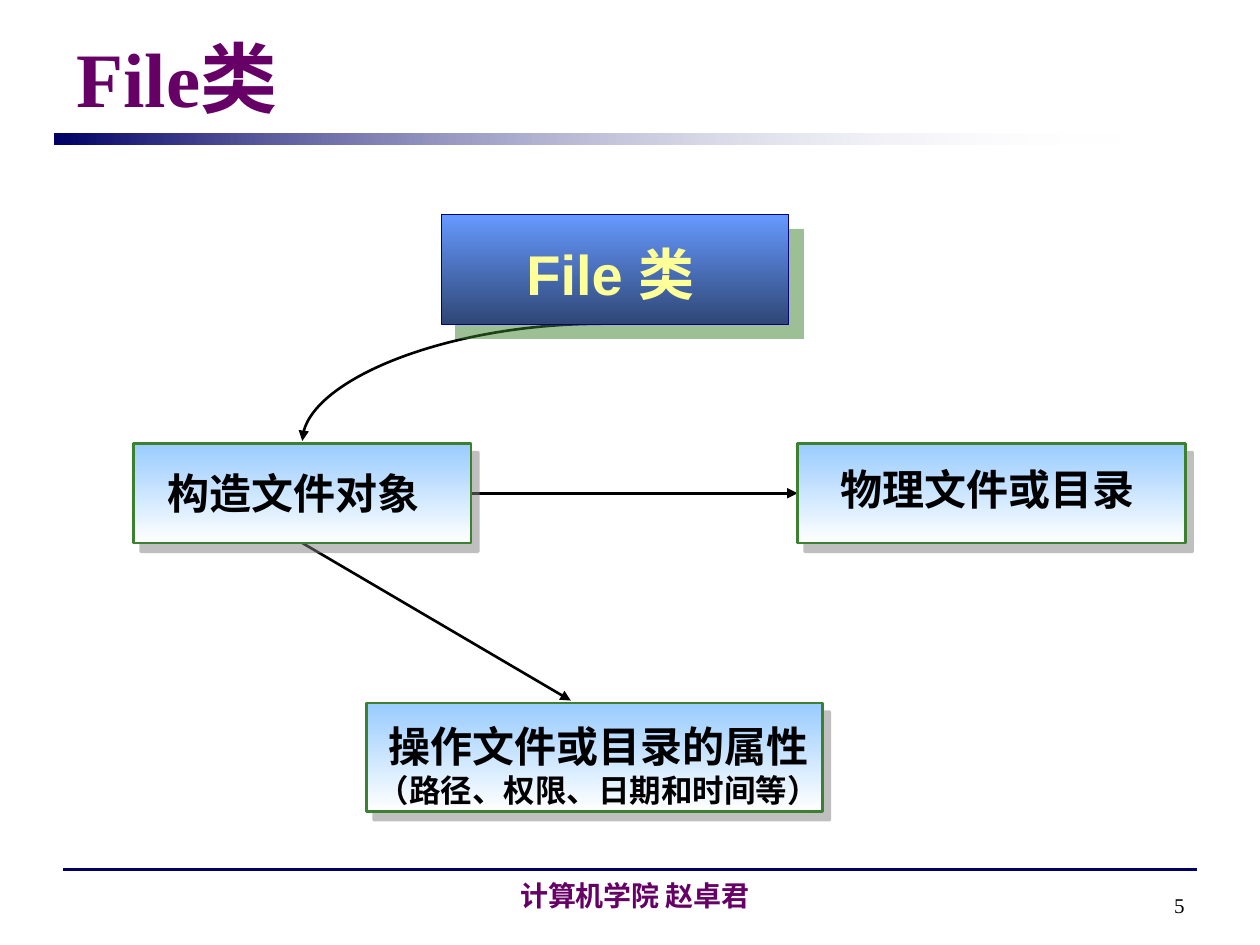
import pptx
import pptx.util
import pptx.dml.color
import pptx.enum.shapes
import pptx.enum.text
import pptx.oxml
import pptx.oxml.ns

Inches = pptx.util.Inches
Pt = pptx.util.Pt
qn = pptx.oxml.ns.qn
Align = pptx.enum.text.PP_ALIGN
Anchor = pptx.enum.text.MSO_ANCHOR
Connector = pptx.enum.shapes.MSO_CONNECTOR

THEME = {
    "navy": "000066", "purple": "660066", "black": "000000", "white": "FFFFFF",
    "yellow": "FFFF99", "serif": "Times New Roman", "sans": "Arial",
    "cjk": "Noto Sans CJK SC",
    "title": 44, "root": 32, "node": 24, "detail": 18, "footer": 16, "number": 12,
}
ROOT_STYLE = dict(top="6699FF", bottom="2F4776", border="000080", weight=0.25,
                  shadow=("3B812F", 12.1, 45))
NODE_STYLE = dict(top="99CCFF", bottom="FFFFFF", border="3B812F", weight=1.5,
                  shadow=("808080", 6.4, 51))

# name: (box, label area, label lines with size, alignment, colour, style)
NODES = {
    "file class": ((3.5, 1.7, 2.76, 0.87), (3.82, 1.85, 2.05, 0.64),
                   [("File 类", "root")], Align.CENTER, "yellow", ROOT_STYLE),
    "physical": ((6.33, 3.52, 3.08, 0.79), (6.26, 3.63, 3.15, 0.5),
                 [("物理文件或目录", "node")], Align.CENTER, "black", NODE_STYLE),
    "object": ((1.06, 3.52, 2.68, 0.79), (1.23, 3.66, 2.34, 0.5),
               [("构造文件对象", "node")], Align.LEFT, "black", NODE_STYLE),
    "attributes": ((2.91, 5.58, 3.62, 0.86), (2.83, 5.67, 3.84, 0.8),
                   [("操作文件或目录的属性", "node"),
                    ("（路径、权限、日期和时间等）", "detail")],
                   Align.CENTER, "black", NODE_STYLE),
}


def rgb(value):
    return pptx.dml.color.RGBColor.from_string(value)


def add_text(shapes, area, lines, color="black", font="sans", bold=True,
             align=Align.LEFT, anchor=Anchor.MIDDLE):
    """Add a text box; each line is a (text, theme size) pair."""
    frame = shapes.add_textbox(*map(Inches, area)).text_frame
    frame.word_wrap = True
    frame.vertical_anchor = anchor
    for index, (text, size) in enumerate(lines):
        para = frame.add_paragraph() if index else frame.paragraphs[0]
        para.alignment = align
        span = para.add_run()
        span.text = text
        span.font.size = Pt(THEME[size])
        span.font.bold = bold
        span.font.name = THEME[font]
        span.font.color.rgb = rgb(THEME[color])
        east_asian = pptx.oxml.parse_xml(
            f'<a:ea {pptx.oxml.ns.nsdecls("a")} typeface="{THEME["cjk"]}"/>')
        span.font._element.find(qn("a:latin")).addnext(east_asian)


def add_gradient_box(shapes, area, first, last, angle):
    box = shapes.add_shape(pptx.enum.shapes.MSO_SHAPE.RECTANGLE, *map(Inches, area))
    box.shadow.inherit = False
    box.fill.gradient()
    box.fill.gradient_angle = angle
    for stop, color in zip(box.fill.gradient_stops, (first, last)):
        stop.color.rgb = rgb(color)
    return box


def add_line(shapes, start, end, color="black", kind=Connector.STRAIGHT, arrow=True):
    line = shapes.add_connector(kind, *map(Inches, start + end))
    line.line.color.rgb = rgb(THEME[color])
    line.line.width = Pt(1.5)
    namespace = pptx.oxml.ns.nsdecls("a")
    if arrow:
        line.line._get_or_add_ln().append(
            pptx.oxml.parse_xml(f'<a:tailEnd {namespace} type="triangle"/>'))
    line._element.spPr.append(pptx.oxml.parse_xml(f"<a:effectLst {namespace}/>"))
    return line


def add_node(page, area, label_area, lines, align, color, style):
    group = page.shapes.add_group_shape()
    box = add_gradient_box(group.shapes, area, style["top"], style["bottom"], 270)
    box.line.color.rgb = rgb(style["border"])
    box.line.width = Pt(style["weight"])
    shade, distance, angle = style["shadow"]
    box._element.spPr.find(qn("a:effectLst")).append(pptx.oxml.parse_xml(
        f'<a:outerShdw {pptx.oxml.ns.nsdecls("a")} blurRad="0" dist="{Pt(distance)}" '
        f'dir="{angle * 60000}" algn="ctr" rotWithShape="0">'
        f'<a:srgbClr val="{shade}"><a:alpha val="50000"/></a:srgbClr></a:outerShdw>'))
    add_text(group.shapes, label_area, lines, color=color, align=align)
    return box


def main():
    deck = pptx.Presentation()
    deck.slide_width, deck.slide_height = Inches(10), Inches(7.5)
    page = deck.slides.add_slide(deck.slide_layouts[6])
    shapes = page.shapes

    add_line(shapes, (0.5, 6.9), (9.5, 6.9), color="navy", arrow=False)
    band = add_gradient_box(shapes, (0.43, 1.06, 8.51, 0.09),
                            THEME["navy"], THEME["white"], 0)
    band.line.fill.background()
    clear_stop = band._element.spPr.findall(".//" + qn("a:srgbClr"))[-1]
    clear_stop.append(pptx.oxml.parse_xml(
        f'<a:alpha {pptx.oxml.ns.nsdecls("a")} val="0"/>'))

    add_text(shapes, (2.64, 6.79, 4.8, 0.5), [("计算机学院 赵卓君", "footer")],
             color="purple", font="cjk", align=Align.CENTER, anchor=Anchor.BOTTOM)
    add_text(shapes, (7.17, 6.83, 2.33, 0.5), [("5", "number")], font="serif",
             bold=False, align=Align.RIGHT, anchor=Anchor.BOTTOM)
    add_text(shapes, (0.51, 0.25, 9.14, 0.71), [("File类", "title")],
             color="purple", font="serif")

    # Lines come first so that the boxes and their shadows lie over them.
    curve = add_line(shapes, (4.77, 2.57), (2.4, 3.5), kind=Connector.CURVE)
    curve._element.spPr.find(qn("a:prstGeom")).set("prst", "curvedConnector2")
    to_attributes = add_line(shapes, (2.4, 4.31), (4.53, 5.56))
    to_physical = add_line(shapes, (3.74, 3.92), (6.33, 3.92))

    boxes = {name: add_node(page, *node) for name, node in NODES.items()}
    to_attributes.begin_connect(boxes["object"], 2)
    to_physical.begin_connect(boxes["object"], 3)
    to_physical.end_connect(boxes["physical"], 1)

    deck.save("out.pptx")


if __name__ == "__main__":
    main()
